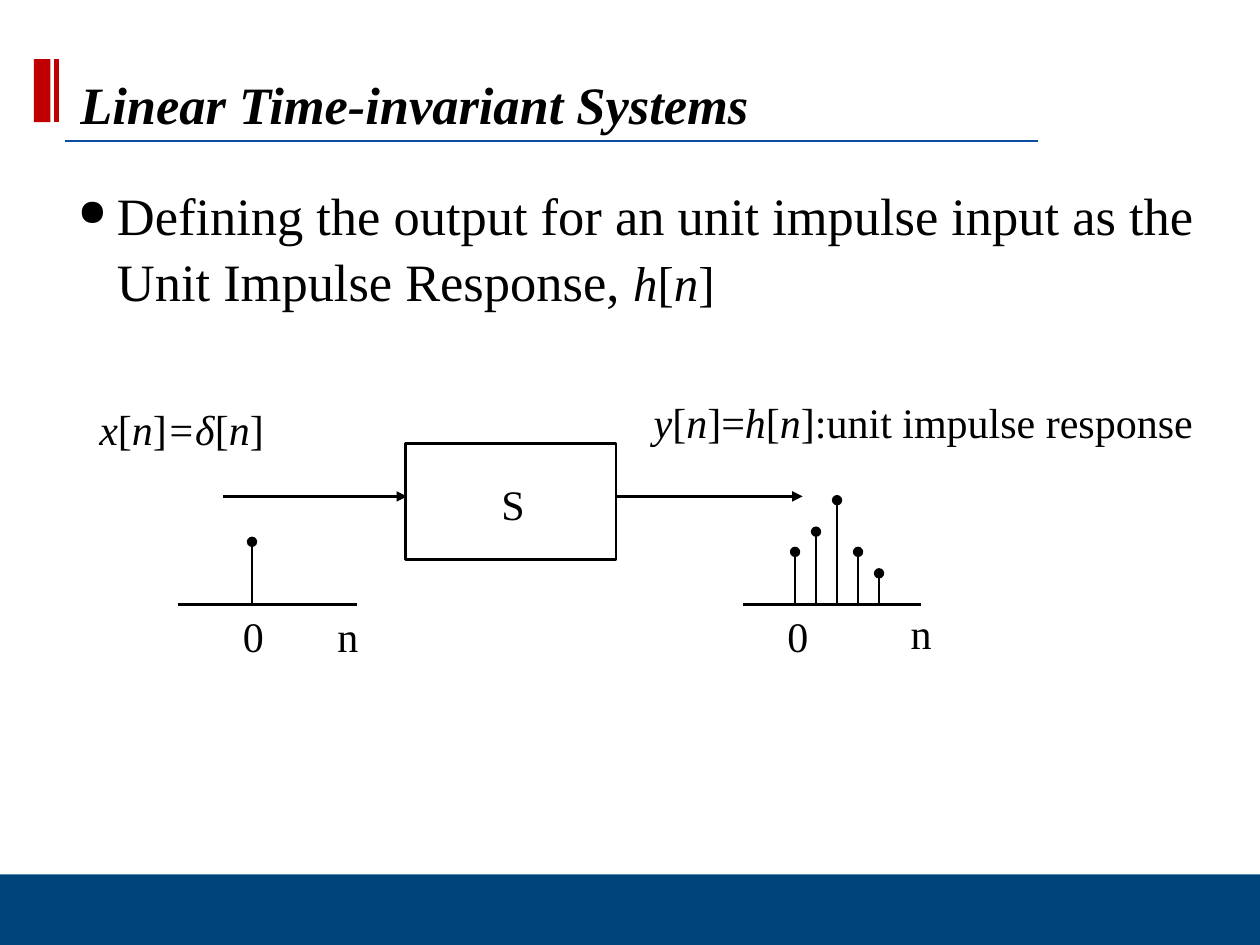
from lxml import etree
from pptx import Presentation
from pptx.dml.color import RGBColor
from pptx.enum.shapes import MSO_CONNECTOR, MSO_SHAPE
from pptx.enum.text import MSO_ANCHOR
from pptx.oxml.ns import qn
from pptx.util import Inches, Pt

BLACK = RGBColor(0x00, 0x00, 0x00)
NAVY = RGBColor(0x00, 0x44, 0x7C)
BLUE = RGBColor(0x0B, 0x4D, 0xA2)
RED = RGBColor(0xC0, 0x00, 0x00)
STRAIGHT = MSO_CONNECTOR.STRAIGHT
RECTANGLE = MSO_SHAPE.RECTANGLE
TOP = MSO_ANCHOR.TOP
MIDDLE = MSO_ANCHOR.MIDDLE

FONT = "Times New Roman"
AXIS_Y = 4.8
ARROW_Y = 3.94
STEM_GAP = 1 / 6
RESPONSE = (0.42, 0.58, 0.83, 0.42, 0.25)
ITALIC = {"italic": True}
UPRIGHT = {"italic": False}


def set_format(target, values):
    for name, value in values.items():
        setattr(target, name, value)


def add_rectangle(slide, box, fill=None, line=None):
    shape = slide.shapes.add_shape(RECTANGLE, *map(Inches, box))
    shape.shadow.inherit = False
    if fill is None:
        shape.fill.background()
    else:
        shape.fill.solid()
        shape.fill.fore_color.rgb = fill
    if line is None:
        shape.line.fill.background()
    else:
        shape.line.color.rgb = line
        shape.line.width = Pt(1.5)


def add_line(slide, start, end, color=BLACK, width=1.5, **ends):
    connector = slide.shapes.add_connector(STRAIGHT, *map(Inches, start + end))
    connector.line.color.rgb = color
    connector.line.width = Pt(width)
    properties = connector.line._get_or_add_ln()
    for name, kind in ends.items():
        etree.SubElement(properties, qn(f"a:{name}"), type=kind)
    etree.SubElement(connector._element.spPr, qn("a:effectLst"))


def add_text(slide, box, runs, size=24, anchor=TOP, right_inset=0.1):
    shape = slide.shapes.add_textbox(*map(Inches, box))
    frame = shape.text_frame
    set_format(frame, {
        "word_wrap": True,
        "vertical_anchor": anchor,
        "margin_right": Inches(right_inset),
    })
    paragraph = frame.paragraphs[0]
    for text, values in runs:
        run = paragraph.add_run()
        run.text = text
        run.font.color.rgb = BLACK
        set_format(run.font, {"name": FONT, "size": Pt(size), **values})
    return paragraph


def add_bullet(paragraph, margin, hanging):
    properties = paragraph._p.get_or_add_pPr()
    properties.set("marL", str(Inches(margin)))
    properties.set("indent", str(-Inches(hanging)))
    etree.SubElement(properties, qn("a:buSzPct"), val="70000")
    etree.SubElement(properties, qn("a:buChar"), char="●")


def add_stem(slide, x, height):
    add_line(slide, (x, AXIS_Y - height), (x, AXIS_Y), headEnd="oval")


def add_frame(slide):
    add_rectangle(slide, (0, 6.94, 10, 0.56), fill=NAVY)
    add_line(slide, (0.52, 1.12), (8.24, 1.12), BLUE)
    add_rectangle(slide, (0.27, 0.47, 0.13, 0.5), fill=RED)
    add_line(slide, (0.45, 0.47), (0.45, 0.97), RED, 3)


def add_wording(slide):
    title = [("Linear Time-invariant Systems", {"bold": True, "italic": True})]
    add_text(slide, (0.54, 0.52, 8.67, 0.61), title, 30, MIDDLE, 0.2)

    small = {"size": Pt(28)}
    definition = [
        ("Defining the output for an unit impulse input as the "
         "Unit Impulse Response, ", {}),
        ("h", small | ITALIC),
        ("[", small),
        ("n", small | ITALIC),
        ("]", small),
    ]
    body = add_text(slide, (0.02, 1.4, 10, 1.11), definition, 30, MIDDLE, 0.2)
    body.line_spacing = 1.05
    add_bullet(body, 0.81, 0.31)


def add_system(slide):
    add_text(slide, (3.88, 3.75, 0.39, 0.5), [("S", {})])
    add_rectangle(slide, (3.22, 3.52, 1.67, 0.92), line=BLACK)
    for left, right in ((1.77, 3.23), (4.89, 6.37)):
        add_line(slide, (left, ARROW_Y), (right, ARROW_Y), tailEnd="triangle")


def add_signals(slide):
    for left, right in ((1.41, 2.83), (5.9, 7.31)):
        add_line(slide, (left, AXIS_Y), (right, AXIS_Y))
    add_stem(slide, 2, 0.5)
    for index, height in enumerate(RESPONSE):
        add_stem(slide, 6.31 + index * STEM_GAP, height)
    for text, left, top in (("0", 1.83, 4.8), ("n", 2.58, 4.8),
                            ("n", 7.13, 4.77), ("0", 6.15, 4.8)):
        add_text(slide, (left, top, 0.37, 0.5), [(text, {})])

    input_label = [
        ("x", ITALIC), ("[", UPRIGHT), ("n", ITALIC), ("]", UPRIGHT),
        ("=δ", ITALIC), ("[", UPRIGHT), ("n", ITALIC), ("]", UPRIGHT),
    ]
    output_label = [
        ("y", ITALIC), ("[", UPRIGHT), ("n", ITALIC), ("]=", UPRIGHT),
        ("h", ITALIC), ("[", UPRIGHT), ("n", ITALIC),
        ("]:unit impulse response", UPRIGHT),
    ]
    add_text(slide, (0.69, 3.15, 1.53, 0.51), input_label)
    add_text(slide, (5.09, 3.1, 4.64, 0.51), output_label)


def main():
    presentation = Presentation()
    set_format(presentation, {
        "slide_width": Inches(10),
        "slide_height": Inches(7.5),
    })
    slide = presentation.slides.add_slide(presentation.slide_layouts[6])
    add_frame(slide)
    add_wording(slide)
    add_system(slide)
    add_signals(slide)
    presentation.save("out.pptx")


if __name__ == "__main__":
    main()
